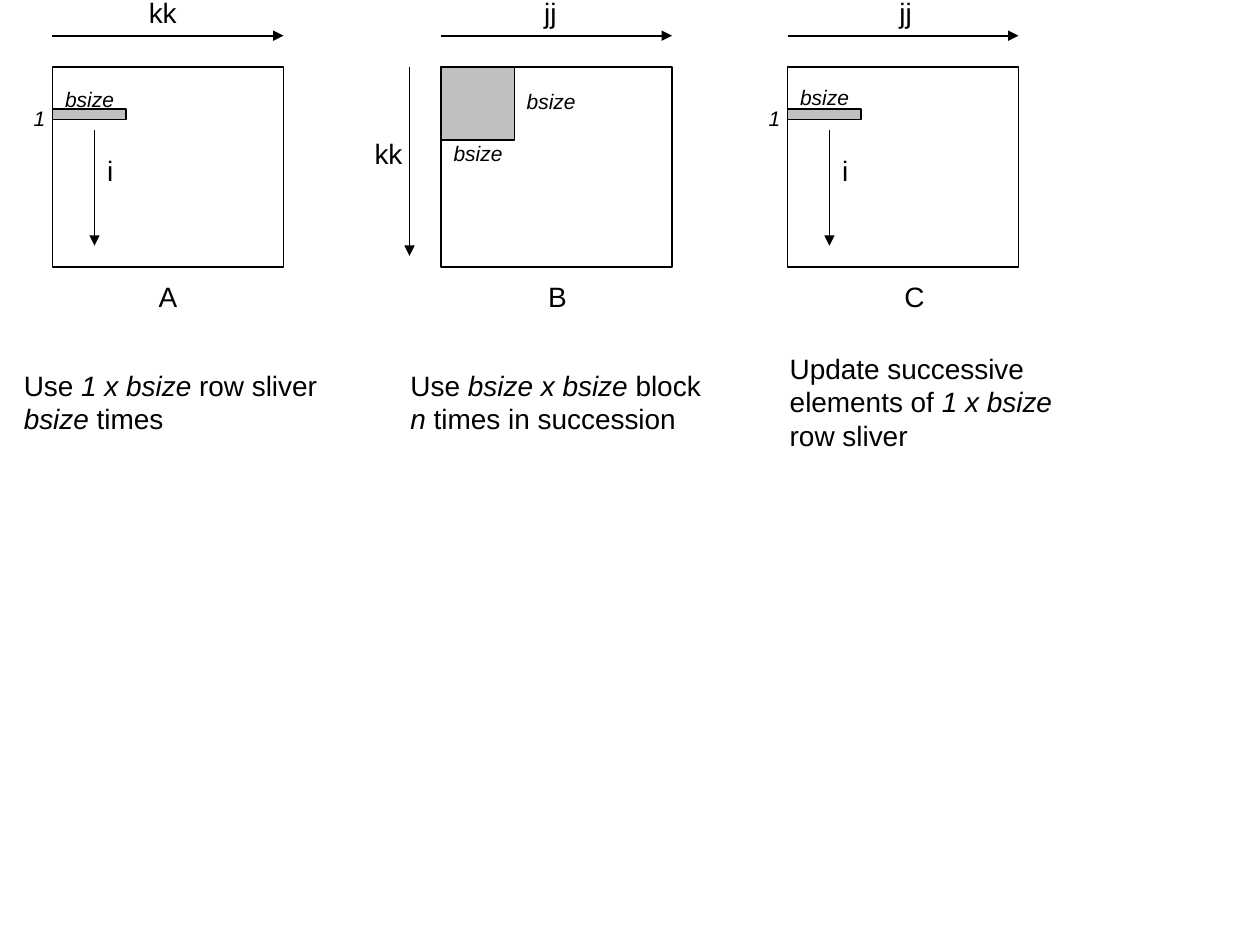
from lxml.etree import SubElement
from pptx import Presentation
from pptx.dml.color import RGBColor
from pptx.enum.shapes import MSO_CONNECTOR, MSO_SHAPE
from pptx.enum.text import MSO_ANCHOR, MSO_AUTO_SIZE, PP_ALIGN
from pptx.oxml.ns import qn
from pptx.util import Pt

BLACK = RGBColor(0, 0, 0)
GRAY = RGBColor(0xC0, 0xC0, 0xC0)
FONT = "Arial"
BIG, SMALL = 16, 12

TOP, WIDE, HIGH = 38.2, 132, 114.2  # matrix outline
BLOCK, THIN = 42, 6                 # bsize and 1
SLIVER = 62.4                       # top of the row sliver
AXIS = 20.4                         # height of the top arrows

# name, name x, left edge, axis, axis x
MATRICES = [
    ("A", 96, 30, "kk", 93),
    ("B", 318.5, 252, "jj", 314.5),
    ("C", 522.5, 450, "jj", 517.5),
]
# left edge, height of the bsize label
SLIVERS = [(30, 56.5), (450, 55.3)]
# left, width, lines of (text, italic) runs
NOTES = [
    (6.5, 184, [[("Use ", False), ("1 x bsize", True), (" row sliver", False)],
                [("bsize", True), (" times", False)]]),
    (227.5, 183, [[("Use ", False), ("bsize x bsize", True), (" block", False)],
                  [("n", True), (" times in succession", False)]]),
    (444.2, 167, [[("Update successive", False)],
                  [("elements of ", False), ("1 x bsize", True)],
                  [("row sliver", False)]]),
]
NOTE_MID = 229.5
# box widths with room to spare, so that no label breaks
WIDTHS = {"kk": 32, "jj": 23, "bsize": 44, "1": 22, "i": 19}

deck = Presentation()
deck.slide_width, deck.slide_height = Pt(720), Pt(540)
slide = deck.slides.add_slide(deck.slide_layouts[6])
shapes = slide.shapes


def box(x, y, w, h, fill=None):
    rect = shapes.add_shape(MSO_SHAPE.RECTANGLE, Pt(x), Pt(y), Pt(w), Pt(h))
    rect.shadow.inherit = False
    if fill is None:
        rect.fill.background()
    else:
        rect.fill.solid()
        rect.fill.fore_color.rgb = fill
    rect.line.color.rgb = BLACK
    rect.line.width = Pt(1)


def arrow(x1, y1, x2, y2):
    line = shapes.add_connector(MSO_CONNECTOR.STRAIGHT, Pt(x1), Pt(y1), Pt(x2), Pt(y2))
    line.line.color.rgb = BLACK
    line.line.width = Pt(1)
    props = line._element.spPr
    SubElement(props.find(qn("a:ln")), qn("a:tailEnd"), type="triangle")
    SubElement(props, qn("a:effectLst"))


def write(x, mid, w, lines, size, align):
    """Place lines of (text, italic) runs around the height mid."""
    h = len(lines) * size * 1.2 + 7.2
    area = shapes.add_textbox(Pt(x), Pt(mid - h / 2), Pt(w), Pt(h))
    frame = area.text_frame
    frame.word_wrap = False
    frame.auto_size = MSO_AUTO_SIZE.SHAPE_TO_FIT_TEXT
    frame.vertical_anchor = MSO_ANCHOR.MIDDLE
    for n, runs in enumerate(lines):
        para = frame.add_paragraph() if n else frame.paragraphs[0]
        para.alignment = align
        for text, slant in runs:
            run = para.add_run()
            run.text = text
            font = run.font
            font.name, font.size, font.italic = FONT, Pt(size), slant
            font.color.rgb = BLACK


def label(text, x, y, size=BIG):
    """Centre a label on a point; small labels are italic."""
    w = WIDTHS.get(text, 27)
    write(x - w / 2, y, w, [[(text, size == SMALL)]], size, PP_ALIGN.CENTER)


for name, name_x, left, axis, axis_x in MATRICES:
    box(left, TOP, WIDE, HIGH)
    label(name, name_x, 169.2)
    arrow(left, AXIS, left + WIDE, AXIS)
    label(axis, axis_x, 7.2)

for left, high in SLIVERS:
    box(left, SLIVER, BLOCK, THIN, GRAY)
    label("bsize", left + 21.2, high, SMALL)
    label("1", left - 7.5, 67.4, SMALL)
    arrow(left + 24, 74.2, left + 24, 140.4)
    label("i", left + 33, 97.2)

left = MATRICES[1][2]
box(left, TOP, BLOCK, BLOCK, GRAY)
label("bsize", left + 63, 57.6, SMALL)
label("bsize", left + 21.2, 87.6, SMALL)
arrow(left - 18, TOP, left - 18, TOP + 108)
label("kk", left - 30, 87.5)

for x, w, lines in NOTES:
    write(x, NOTE_MID, w, lines, BIG, PP_ALIGN.LEFT)

deck.save("out.pptx")
